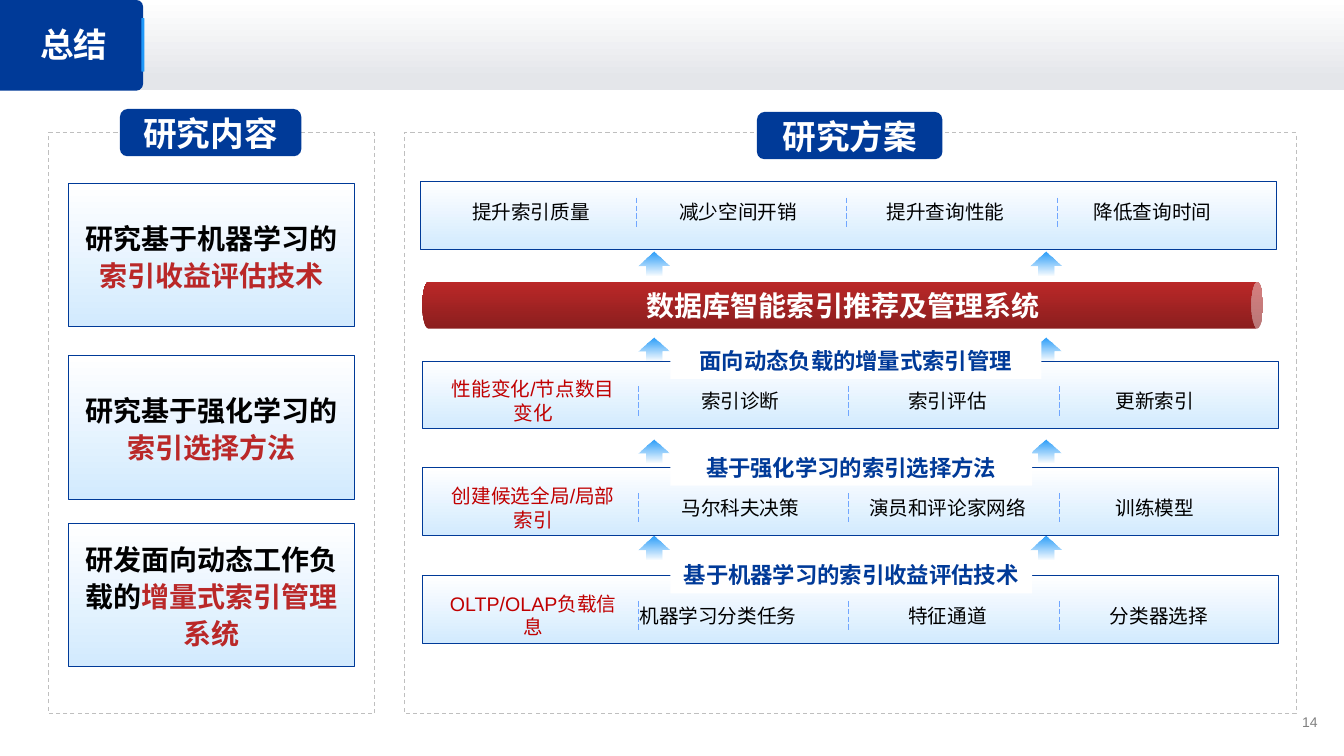
from lxml import etree
from pptx import Presentation
from pptx.dml.color import RGBColor
from pptx.enum.dml import MSO_LINE
from pptx.enum.shapes import MSO_CONNECTOR, MSO_SHAPE
from pptx.enum.text import MSO_ANCHOR, PP_ALIGN
from pptx.oxml.ns import qn
from pptx.util import Pt

RECT, ROUNDED, TOP_ROUNDED = (
    MSO_SHAPE.RECTANGLE, MSO_SHAPE.ROUNDED_RECTANGLE, MSO_SHAPE.ROUND_2_SAME_RECTANGLE)
UP_ARROW, CAN = MSO_SHAPE.UP_ARROW, MSO_SHAPE.CAN
STRAIGHT = MSO_CONNECTOR.STRAIGHT
DASH, LONG_DASH = MSO_LINE.DASH, MSO_LINE.LONG_DASH
LEFT, CENTER, RIGHT = PP_ALIGN.LEFT, PP_ALIGN.CENTER, PP_ALIGN.RIGHT
MIDDLE = MSO_ANCHOR.MIDDLE

COLORS = {
    "white": "FFFFFF", "black": "000000", "navy": "003A98", "sky": "1F98F9",
    "pale": "D2EAFE", "mist": "E4E6EA", "frame": "BFBFBF", "number": "808080",
    "divider": "70A6FF", "dark_red": "8B1E1E", "red": "BA2828", "input": "C00000",
}
LATIN_FONT, CHINESE_FONT = "Arial", "Noto Sans CJK SC"
DOWNWARD = 270  # gradient angle that runs from top to bottom

TOPICS = [
    (131, "研究基于机器学习的", "索引收益评估技术"),
    (254.2, "研究基于强化学习的", "索引选择方法"),
    (373.7, "研发面向动态工作负载的", "增量式索引管理系统"),
]
GOALS = ["提升索引质量", "减少空间开销", "提升查询性能", "降低查询时间"]
# top, heading, heading width, steps, sideways shift of each step
STAGES = [
    (257.8, "面向动态负载的增量式索引管理", 265,
     ["性能变化/节点数目变化", "索引诊断", "索引评估", "更新索引"], (0, 0, 0, 0)),
    (334.1, "基于强化学习的索引选择方法", 258.5,
     ["创建候选全局/局部索引", "马尔科夫决策", "演员和评论家网络", "训练模型"], (0, 0, 0, 0)),
    (411.1, "基于机器学习的索引收益评估技术", 258.5,
     ["OLTP/OLAP负载信息", "机器学习分类任务", "特征通道", "分类器选择"], (0, -16, 0, 3)),
]
ARROW_TOPS = (180, 241.2, 314, 382.7)
ARROW_LEFTS = (455.8, 735.8)


def rgb(name):
    return RGBColor.from_string(COLORS[name])


def add_block(slide, kind, box, fill=None, line=None, width=0.5, dash=None, adjust=()):
    """Preset shape with an optional solid fill and outline."""
    block = slide.shapes.add_shape(kind, *map(Pt, box))
    block.shadow.inherit = False
    if fill:
        block.fill.solid()
        block.fill.fore_color.rgb = rgb(fill)
    else:
        block.fill.background()
    if line:
        block.line.color.rgb = rgb(line)
        block.line.width = Pt(width)
        if dash:
            block.line.dash_style = dash
    else:
        block.line.fill.background()
    for index, value in enumerate(adjust):
        block.adjustments[index] = value
    return block


def blend(block, first, last, angle=DOWNWARD, end=1.0):
    """Two-colour linear gradient."""
    block.fill.gradient()
    block.fill.gradient_angle = angle
    stops = block.fill.gradient_stops
    for stop, color in zip(stops, (first, last)):
        stop.color.rgb = rgb(color)
    stops[1].position = end


def write(shape, runs, size, bold=False, align=CENTER, spacing=None, wrap=True):
    """One paragraph of (text, colour) runs."""
    frame = shape.text_frame
    frame.word_wrap = wrap
    frame.vertical_anchor = MIDDLE
    paragraph = frame.paragraphs[0]
    paragraph.alignment = align
    if spacing:
        paragraph.line_spacing = spacing
    font = paragraph.font
    font.size, font.bold, font.name = Pt(size), bold, LATIN_FONT
    defaults = paragraph._p.pPr.find(qn("a:defRPr"))
    etree.SubElement(defaults, qn("a:ea"), typeface=CHINESE_FONT)
    if len(runs) == 1:
        font.color.rgb = rgb(runs[0][1])
    for text, color in runs:
        run = paragraph.add_run()
        run.text = text
        if len(runs) > 1:
            run.font.color.rgb = rgb(color)


def add_label(slide, box, text, color, size, **style):
    label = slide.shapes.add_textbox(*map(Pt, box))
    write(label, [(text, color)], size, **style)


def add_divider(slide, x, top):
    divider = slide.shapes.add_connector(STRAIGHT, Pt(x), Pt(top), Pt(x), Pt(top + 21.3))
    divider.line.color.rgb = rgb("divider")
    divider.line.width = Pt(0.5)
    divider.line.dash_style = LONG_DASH
    etree.SubElement(divider._element.spPr, qn("a:effectLst"))


def add_arrow(slide, left, top):
    """Upward arrow that fades out towards its tail."""
    arrow = add_block(slide, UP_ARROW, (left, top, 22.3, 16.6), adjust=(0.5, 0.595))
    blend(arrow, "sky", "sky")
    tail = arrow._element.spPr.findall(".//" + qn("a:srgbClr"))[-1]
    etree.SubElement(tail, qn("a:alpha"), val="0")


def add_panel(slide, box, badge_box, heading):
    add_block(slide, RECT, box, line="frame", width=0.75, dash=DASH)
    badge = add_block(slide, TOP_ROUNDED, badge_box, "navy", adjust=(0.167, 0.155))
    write(badge, [(heading, "white")], 24, bold=True)


def add_topic(slide, top, lead, focus):
    card = add_block(slide, RECT, (49, top, 203.8, 102.4), line="navy")
    blend(card, "white", "pale")
    write(card, [(lead, "black"), (focus, "red")], 20, bold=True, spacing=1.1)


def add_row(slide, left, top, inset, steps, first_color="black", shifts=(0, 0, 0, 0)):
    """Band of four steps parted by dashed dividers."""
    band = add_block(slide, RECT, (left, top, 611.3, 48.4), line="navy")
    blend(band, "white", "pale")
    for index, (step, shift) in enumerate(zip(steps, shifts)):
        cell = (left + 10.8 + 148 * index + shift, top + inset, 136.8, 26.6)
        color = "black" if index else first_color
        add_label(slide, cell, step, color, 14, wrap=False)
    for index in range(3):
        add_divider(slide, left + 154 + 150.5 * index, top + inset + 3)


def add_stage(slide, top, heading, width, steps, shifts):
    add_row(slide, 301.7, top, 15.1, steps, "input", shifts)
    plate = add_block(slide, RECT, (478.8, top - 13.7, width, 26.6), "white")
    write(plate, [(heading, "navy")], 16, bold=True)


def add_header(slide):
    band = add_block(slide, RECT, (0, -0.7, 960, 64.8))
    blend(band, "white", "mist", end=0.89)
    tab = add_block(slide, TOP_ROUNDED, (18.7, -18.7, 64.8, 102.2), "navy", adjust=(0.074, 0))
    tab.rotation = 90
    add_block(slide, ROUNDED, (101, 13, 2.2, 38.2), "sky", adjust=(0.208,))
    title = slide.shapes.title
    title.left, title.top, title.width, title.height = map(Pt, (21.6, 13.7, 258.5, 36))
    write(title, [("总结", "white")], 24, bold=True, align=LEFT)
    slide.shapes._spTree.append(title._element)  # bring in front of the tab


def add_system_bar(slide):
    bar = add_block(slide, CAN, (585.4, -82.1, 33.1, 600.5))
    bar.rotation = 90
    blend(bar, "dark_red", "red", angle=180)
    add_label(slide, (363.6, 202.3, 477.4, 31.7), "数据库智能索引推荐及管理系统",
              "white", 20, bold=True)


def main():
    deck = Presentation()
    deck.slide_width, deck.slide_height = Pt(960), Pt(540)
    slide = deck.slides.add_slide(deck.slide_layouts[5])
    add_header(slide)
    add_label(slide, (738.7, 506.9, 209.5, 17.3), "14", "number", 10, align=RIGHT)

    # Research topics
    add_panel(slide, (34.6, 95, 233.3, 414.7), (85.7, 77.8, 129.6, 33.8), "研究内容")
    for topic in TOPICS:
        add_topic(slide, *topic)

    # Research plan
    add_panel(slide, (288.7, 95, 637.2, 414.7), (540.7, 79.9, 132.5, 33.8), "研究方案")
    for top in ARROW_TOPS:
        for left in ARROW_LEFTS:
            add_arrow(slide, left, top)
    add_system_bar(slide)
    add_row(slide, 300.2, 129.6, 8.6, GOALS)
    for stage in STAGES:
        add_stage(slide, *stage)

    deck.save("out.pptx")


if __name__ == "__main__":
    main()
